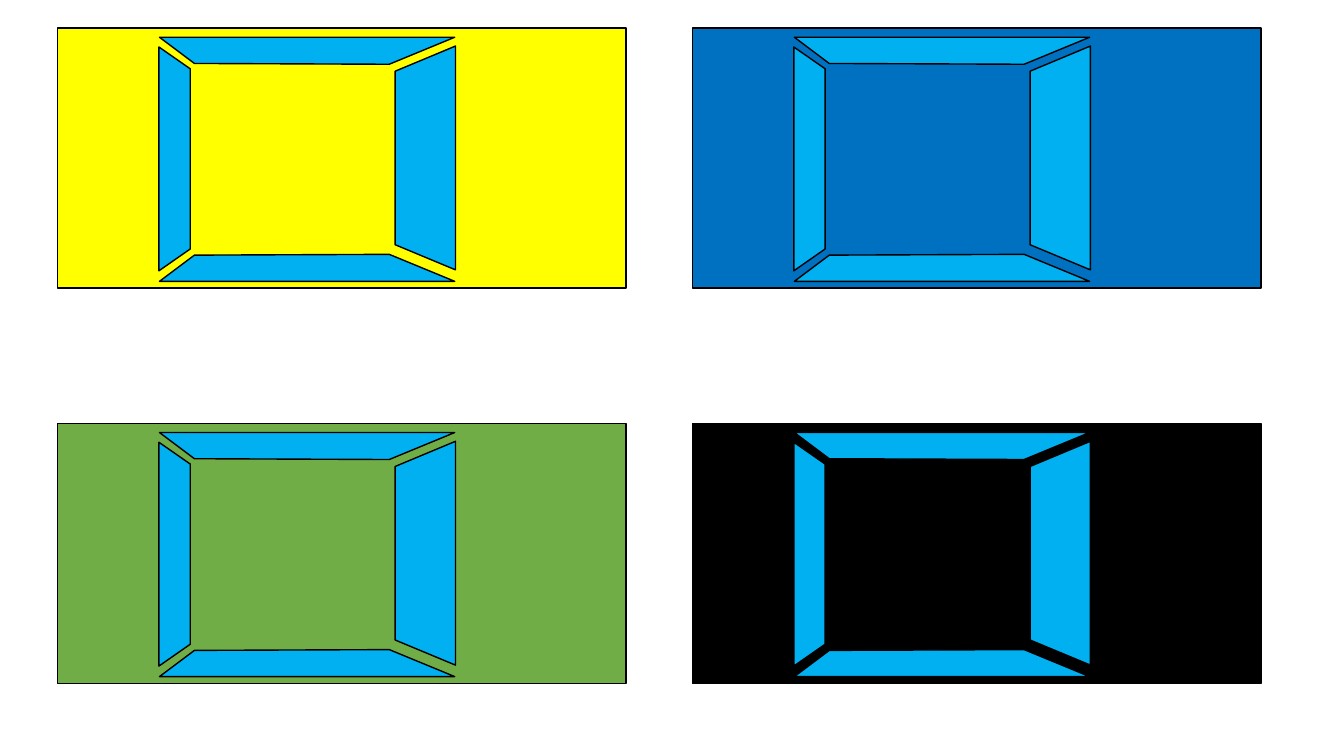
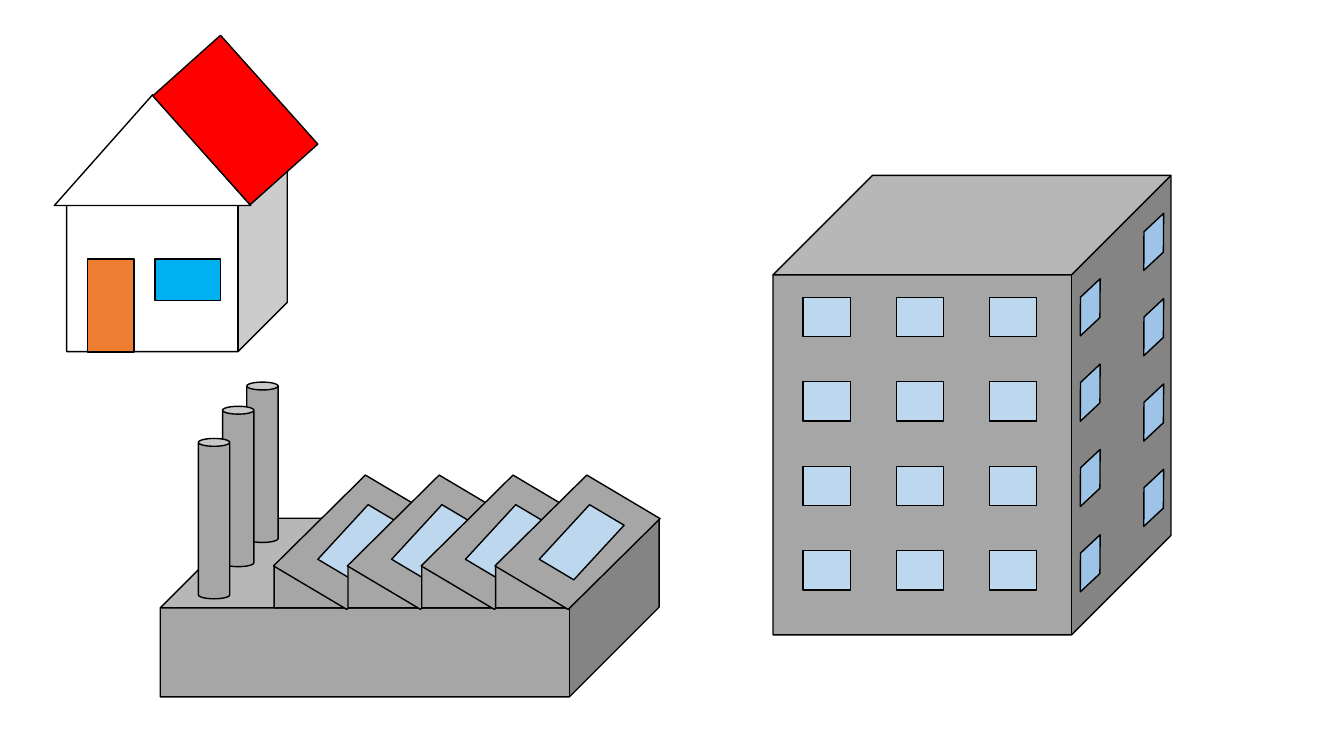
from dataclasses import dataclass
from typing import Optional

from pptx import Presentation
from pptx import util as u
from pptx.dml.color import RGBColor
from pptx.enum import shapes as sh

Kind = sh.MSO_SHAPE


# Theme: colours and line weight
@dataclass(frozen=True)
class Theme:
    ink: str = "000000"
    white: str = "FFFFFF"
    yellow: str = "FFFF00"
    green: str = "70AD47"
    blue: str = "0070C0"
    sky: str = "00B0F0"
    red: str = "FF0000"
    door: str = "ED7D31"
    wall: str = "A6A6A6"
    pane: str = "BDD7EE"
    shade: str = "9DC3E6"
    line: float = 1


T = Theme()


# One preset shape, in centimetres
@dataclass(frozen=True)
class Part:
    kind: Kind
    left: float
    top: float
    width: float
    height: float
    fill: str
    turn: float = 0
    adj: Optional[float] = None


def paint(shape, fill: str) -> None:
    shape.shadow.inherit = False
    shape.fill.solid()
    shape.fill.fore_color.rgb = RGBColor.from_string(fill)
    shape.line.color.rgb = RGBColor.from_string(T.ink)
    shape.line.width = u.Pt(T.line)


def draw(tree, part: Part, dx: float = 0, dy: float = 0) -> None:
    shape = tree.add_shape(part.kind, u.Cm(part.left + dx), u.Cm(part.top + dy),
                           u.Cm(part.width), u.Cm(part.height))
    if part.adj is not None:
        shape.adjustments[0] = part.adj
    shape.rotation = part.turn
    paint(shape, part.fill)


def trace(tree, points: list, fill: str, dx: float, dy: float) -> None:
    spots = [(u.Cm(x + dx), u.Cm(y + dy)) for x, y in points]
    path = tree.build_freeform(*spots[0])
    path.add_line_segments(spots[1:], close=True)
    paint(path.convert_to_shape(), fill)


# Cars seen from above: offsets are from the body's corner
BODY = (14.33, 6.55)
AXIS = 6.61
ROOF = [(10.01, 0.23), (8.36, 0.91), (3.45, 0.89), (2.57, 0.23)]
REAR = Part(Kind.TRAPEZOID, 0.13, 2.9, 5.64, 0.79, T.sky, 90, 0.697)
FRONT = Part(Kind.TRAPEZOID, 6.45, 2.51, 5.64, 1.52, T.sky, 270, 0.417)


def car(slide, left: float, top: float, fill: str) -> None:
    tree = slide.shapes.add_group_shape().shapes
    draw(tree, Part(Kind.RECTANGLE, left, top, *BODY, fill))
    draw(tree, REAR, left, top)
    trace(tree, ROOF, T.sky, left, top)
    trace(tree, [(x, AXIS - y) for x, y in ROOF], T.sky, left, top)
    draw(tree, FRONT, left, top)


# House
HOUSE = [
    Part(Kind.CUBE, 1.68, 3.91, 5.56, 4.95, T.white),
    Part(Kind.ISOSCELES_TRIANGLE, 1.37, 2.39, 4.95, 2.79, T.white),
    Part(Kind.PARALLELOGRAM, 4.09, 1.88, 3.68, 2.29, T.red, 48.2, 0),
    Part(Kind.RECTANGLE, 2.21, 6.53, 1.17, 2.34, T.door),
    Part(Kind.RECTANGLE, 3.91, 6.53, 1.65, 1.04, T.sky),
]

# Factory: hall, chimneys from back to front, and one saw-tooth roof
HALL = Part(Kind.CUBE, 4.04, 13.06, 12.57, 4.5, T.wall, adj=0.502)
STACKS = [Part(Kind.CAN, x, y, 0.79, 4.04, T.wall)
          for x, y in ((6.22, 9.63), (5.61, 10.24), (5, 11.05))]
TOOTH = [
    Part(Kind.RIGHT_TRIANGLE, 6.91, 14.25, 1.83, 1.07, T.wall),
    Part(Kind.PARALLELOGRAM, 7.49, 12.09, 2.97, 3.15, T.wall, 30.7, 0.277),
    Part(Kind.PARALLELOGRAM, 8.38, 12.75, 1.4, 1.83, T.pane, 30.7, 0.277),
]

# Tower: block, front window and the top window of each side column
BLOCK = Part(Kind.CUBE, 19.48, 4.42, 10.03, 11.58, T.wall)
PANE = Part(Kind.RECTANGLE, 20.24, 7.49, 1.19, 0.99, T.pane)
SIDES = [Part(Kind.PARALLELOGRAM, x, y, 1.35, 0.71, T.shade, 316.9, 0.946)
         for x, y in ((26.8, 7.39), (28.4, 5.74))]


def house(slide) -> None:
    tree = slide.shapes.add_group_shape().shapes
    for part in HOUSE:
        draw(tree, part)


def plant(slide) -> None:
    tree = slide.shapes.add_group_shape().shapes
    for part in [HALL, *STACKS]:
        draw(tree, part)
    for col in range(4):
        for part in TOOTH:
            draw(tree, part, dx=1.86 * col)


def tower(slide) -> None:
    tree = slide.shapes
    draw(tree, BLOCK)
    for row in range(4):
        for col in range(3):
            draw(tree, PANE, 2.35 * col, 2.13 * row)
        for side in SIDES:
            draw(tree, side, dy=2.15 * row)


# Deck
deck = Presentation()
deck.slide_width, deck.slide_height = u.Cm(33.87), u.Cm(19.05)
blank = deck.slide_layouts[6]

cars = deck.slides.add_slide(blank)
for spot, fill in enumerate((T.yellow, T.green, T.blue, T.ink)):
    col, row = divmod(spot, 2)
    car(cars, 1.45 + 16 * col, 0.71 + 9.96 * row, fill)

town = deck.slides.add_slide(blank)
house(town)
plant(town)
tower(town)

deck.save("out.pptx")
